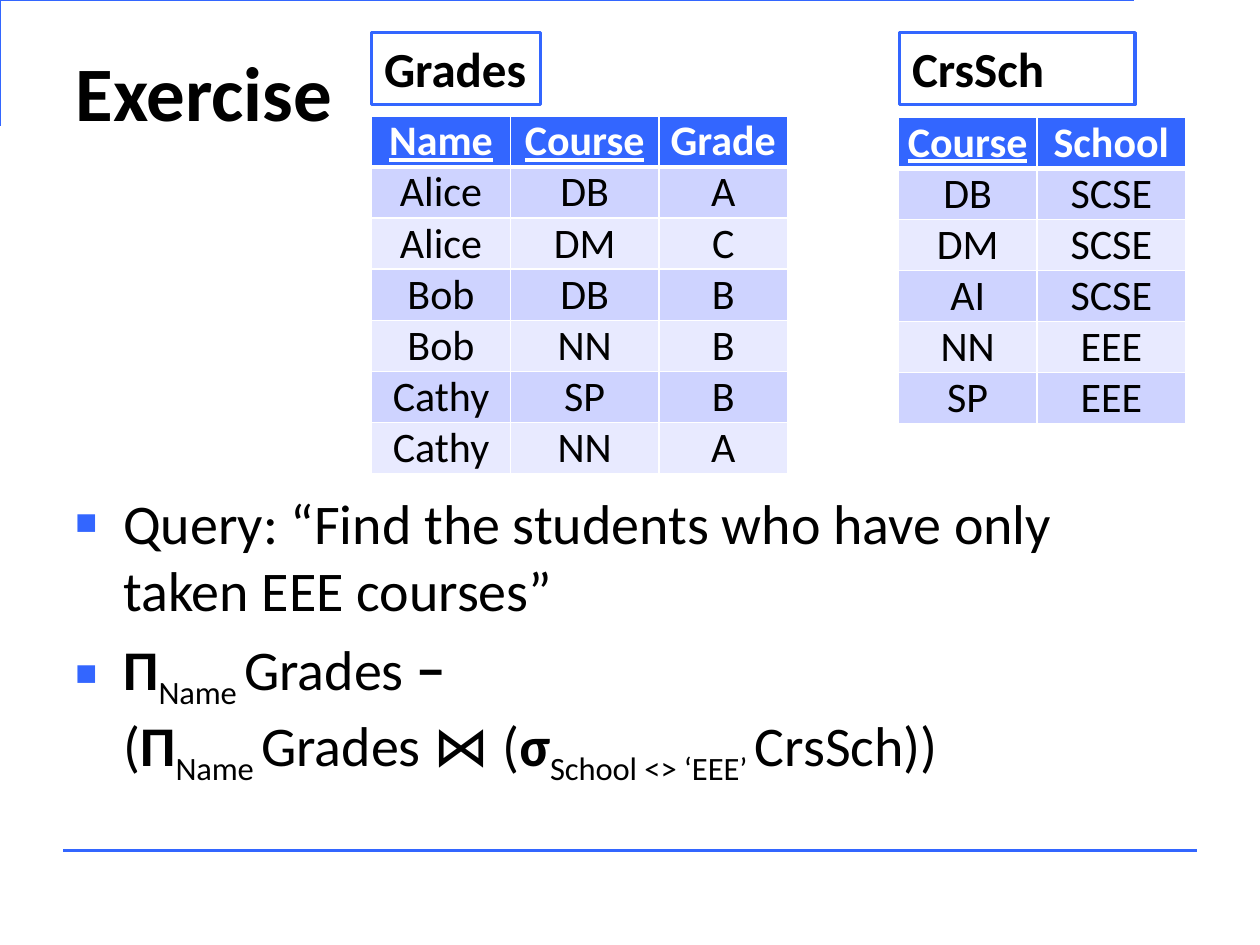
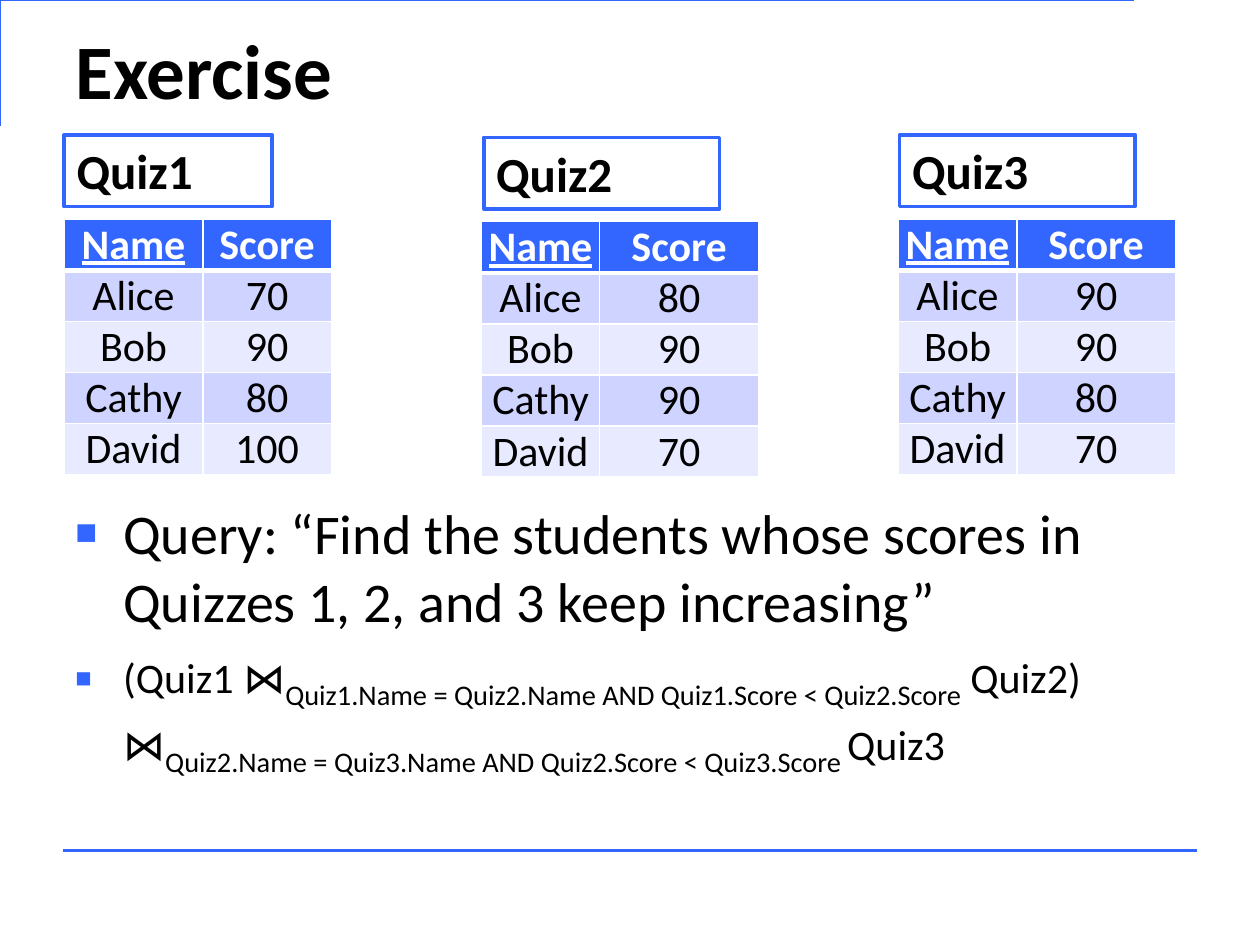
"""Build two relational algebra exercise slides."""
import pptx
import pptx.dml.color
import pptx.enum.shapes
import pptx.enum.text
import pptx.oxml
import pptx.oxml.ns
import pptx.util
import lxml.etree

Inches = pptx.util.Inches
Pt = pptx.util.Pt
RGB = pptx.dml.color.RGBColor.from_string
qn = pptx.oxml.ns.qn
LEFT = pptx.enum.text.PP_ALIGN.LEFT
MID = pptx.enum.text.PP_ALIGN.CENTER
TOP = pptx.enum.text.MSO_ANCHOR.TOP

THEME = {
    "font": "Calibri", "blue": "3366FF", "ink": "000000", "white": "FFFFFF",
    "bands": ["E8EAFF", "CED3FF"],
    "title": 44, "body": 32, "label": 28, "cell": 24, "small": 24, "sub": 28,
    "rule": 1.5, "box": 2, "grid": 1, "head": 3, "row": 29.2, "gap": 6.4,
}


def write(para, text, size, tint="ink", **more):
    """Add a run in the theme font and return it."""
    run = para.add_run()
    run.text = text
    form = {"name": THEME["font"], "size": Pt(size), "bold": False, **more}
    for key, val in form.items():
        setattr(run.font, key, val)
    run.font.color.rgb = RGB(THEME[tint])
    return run


def ink(shape, width):
    """Give a shape or connector a plain blue line."""
    shape.line.color.rgb = RGB(THEME["blue"])
    shape.line.width = Pt(width)


SLIDES = [
    {
        "top": 0.3,
        "body": (3.83, 2.88),
        "text": [
            ("body", "body", [("Query: “Find the students who have only taken EEE courses”", "")]),
            ("body", "body", [
                ("Π", "bold"), ("Name ", "sub"), ("Grades ", ""), ("− ", "bold"), ("", "break"),
                ("(", ""), ("Π", "bold"), ("Name ", "sub"), ("Grades ⋈ (", ""),
                ("σ", "bold"), ("School <> ‘EEE’ ", "sub"), ("CrsSch))", ""),
            ]),
        ],
        "tables": [
            {"name": "Grades", "box": (2.95, 0.26, 1.34), "at": (2.95, 0.92),
             "cols": [1.1, 1.18, 1.02], "keys": 2,
             "rows": ["Name Course Grade", "Alice DB A", "Alice DM C", "Bob DB B",
                      "Bob NN B", "Cathy SP B", "Cathy NN A"]},
            {"name": "CrsSch", "box": (7.14, 0.26, 1.87), "at": (7.13, 0.93),
             "cols": [1.1, 1.18], "keys": 1,
             "rows": ["Course School", "DB SCSE", "DM SCSE", "AI SCSE", "NN EEE", "SP EEE"]},
        ],
    },
    {
        "top": 0.13,
        "body": (3.91, 2.8),
        "text": [
            ("body", "body", [
                ("Query: “Find the students whose scores in Quizzes 1, 2, and 3 keep increasing”", ""),
            ]),
            ("small", "sub", [
                ("(Quiz1 ⋈", ""),
                ("Quiz1.Name = Quiz2.Name AND Quiz1.Score < Quiz2.Score", "sub"),
                (" Quiz2) ⋈", ""),
                ("Quiz2.Name = Quiz3.Name AND Quiz2.Score < Quiz3.Score ", "sub"),
                ("Quiz3", ""),
            ]),
        ],
        "tables": [
            {"name": "Quiz1", "box": (0.51, 1.07, 1.65), "at": (0.51, 1.74),
             "cols": [1.1, 1.02], "keys": 1,
             "rows": ["Name Score", "Alice 70", "Bob 90", "Cathy 80", "David 100"]},
            {"name": "Quiz2", "box": (3.84, 1.09, 1.87), "at": (3.82, 1.76),
             "cols": [0.94, 1.26], "keys": 1,
             "rows": ["Name Score", "Alice 80", "Bob 90", "Cathy 90", "David 70"]},
            {"name": "Quiz3", "box": (7.14, 1.07, 1.87), "at": (7.13, 1.74),
             "cols": [0.94, 1.26], "keys": 1,
             "rows": ["Name Score", "Alice 90", "Bob 90", "Cathy 80", "David 70"]},
        ],
    },
]

deck = pptx.Presentation()
deck.slide_width, deck.slide_height = Inches(10), Inches(7.5)

for plan in SLIDES:
    slide = deck.slides.add_slide(deck.slide_layouts[5])
    shapes = slide.shapes

    pen = shapes.build_freeform(0.42, 0.92, scale=Inches(1))
    pen.add_line_segments([(0.42, 0.25), (9.42, 0.25)], close=False)
    frame = pen.convert_to_shape()
    frame.shadow.inherit = False
    frame.fill.background()
    ink(frame, THEME["rule"])

    foot = shapes.add_connector(
        pptx.enum.shapes.MSO_CONNECTOR.STRAIGHT,
        Inches(0.5), Inches(6.75), Inches(9.5), Inches(6.75))
    ink(foot, THEME["rule"])
    lxml.etree.SubElement(foot._element.spPr, qn("a:effectLst"))

    title = shapes.title
    place = {"left": 0.5, "top": plan["top"], "width": 9, "height": 1.25}
    for key, val in place.items():
        setattr(title, key, Inches(val))
    title.text_frame.vertical_anchor = TOP
    title.text_frame.word_wrap = True
    para = title.text_frame.paragraphs[0]
    para.alignment = LEFT
    write(para, "Exercise", THEME["title"], bold=True)

    top, height = plan["body"]
    body = shapes.add_textbox(Inches(0.5), Inches(top), Inches(9), Inches(height)).text_frame
    body.word_wrap = True
    for num, (size, low, runs) in enumerate(plan["text"]):
        para = body.add_paragraph() if num else body.paragraphs[0]
        para.space_before = Pt(THEME["gap"] if num else 0)
        props = para._p.get_or_add_pPr()
        props.set("marL", str(Inches(0.38)))
        props.set("indent", str(-Inches(0.38)))
        tint = lxml.etree.SubElement(props, qn("a:buClr"))
        lxml.etree.SubElement(tint, qn("a:srgbClr"), val=THEME["blue"])
        lxml.etree.SubElement(props, qn("a:buSzPct"), val="65000")
        lxml.etree.SubElement(props, qn("a:buFont"), typeface="Arial")
        lxml.etree.SubElement(props, qn("a:buChar"), char="■")
        for text, mark in runs:
            if mark == "break":
                para.add_line_break()
                continue
            run = write(para, text, THEME[low if mark == "sub" else size], bold=mark == "bold")
            if mark == "sub":
                run._r.get_or_add_rPr().set("baseline", "-25000")

    for data in plan["tables"]:
        rows, cols = data["rows"], data["cols"]
        left, top = data["at"]
        grid = shapes.add_table(
            len(rows), len(cols), Inches(left), Inches(top),
            Inches(sum(cols)), Pt(THEME["row"] * len(rows))).table
        for col, width in zip(grid.columns, cols):
            col.width = Inches(width)
        for r, row in enumerate(rows):
            for c, text in enumerate(row.split()):
                cell = grid.cell(r, c)
                for side in ("left", "right", "top", "bottom"):
                    setattr(cell, "margin_" + side, 0)
                for side in "LRTB":
                    thick = (r, side) in ((0, "B"), (1, "T"))
                    edge = lxml.etree.SubElement(
                        cell._tc.get_or_add_tcPr(), qn("a:ln" + side),
                        w=str(Pt(THEME["head" if thick else "grid"])))
                    fill = lxml.etree.SubElement(edge, qn("a:solidFill"))
                    lxml.etree.SubElement(fill, qn("a:srgbClr"), val=THEME["white"])
                cell.fill.solid()
                cell.fill.fore_color.rgb = RGB(THEME["bands"][r % 2] if r else THEME["blue"])
                para = cell.text_frame.paragraphs[0]
                para.alignment = MID
                write(para, text, THEME["cell"], "ink" if r else "white",
                      bold=r == 0, underline=r == 0 and c < data["keys"])

        left, top, width = data["box"]
        label = shapes.add_shape(
            pptx.enum.shapes.MSO_SHAPE.RECTANGLE,
            Inches(left), Inches(top), Inches(width), Inches(0.57))
        label.shadow.inherit = False
        label.fill.background()
        ink(label, THEME["box"])
        form = {"word_wrap": True, "vertical_anchor": TOP,
                "auto_size": pptx.enum.text.MSO_AUTO_SIZE.SHAPE_TO_FIT_TEXT}
        for key, val in form.items():
            setattr(label.text_frame, key, val)
        para = label.text_frame.paragraphs[0]
        para.alignment = LEFT
        write(para, data["name"], THEME["label"], bold=True)

deck.save("out.pptx")
